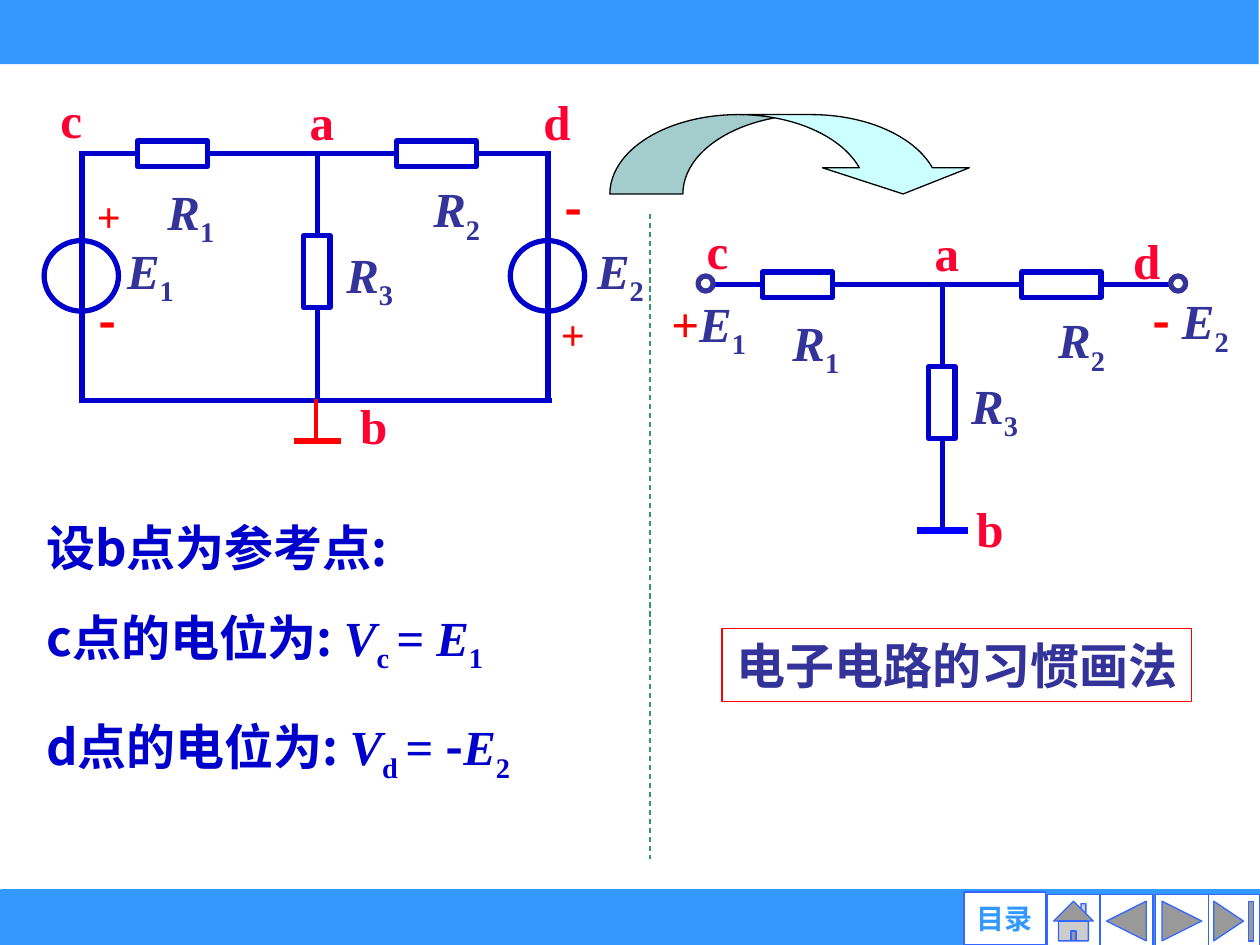
import pptx
import pptx.util
import pptx.dml.color
import pptx.enum.dml
import pptx.enum.shapes
import pptx.enum.text
import pptx.oxml
import pptx.oxml.ns

Inches, Pt = pptx.util.Inches, pptx.util.Pt
SHAPE = pptx.enum.shapes.MSO_SHAPE
ALIGN = pptx.enum.text.PP_ALIGN
SERIF, SANS = "Times New Roman", "Noto Sans CJK SC"
C = {
    "bar": "3399FF", "button": "3366FF", "white": "FFFFFF", "wire": "0000CC",
    "symbol": "333399", "node": "FF0033", "red": "FF0000", "ground": "0000FF",
    "arrow": "CCFFFF", "black": "000000", "divider": "339966",
}


def rgb(name):
    return pptx.dml.color.RGBColor.from_string(C[name])


def add_shape(s, kind, x, y, w, h, fill="white", line="wire", width=3):
    sp = s.shapes.add_shape(kind, Inches(x), Inches(y), Inches(w), Inches(h))
    sp.shadow.inherit = False
    if fill:
        sp.fill.solid()
        sp.fill.fore_color.rgb = rgb(fill)
    else:
        sp.fill.background()
    if line:
        sp.line.color.rgb = rgb(line)
        sp.line.width = Pt(width)
    else:
        sp.line.fill.background()
    return sp


def add_line(s, x1, y1, x2, y2, color="wire", width=3):
    cn = s.shapes.add_connector(pptx.enum.shapes.MSO_CONNECTOR.STRAIGHT,
                                Inches(x1), Inches(y1), Inches(x2), Inches(y2))
    cn.line.color.rgb = rgb(color)
    cn.line.width = Pt(width)
    cn._element.spPr.append(pptx.oxml.parse_xml(
        "<a:effectLst %s/>" % pptx.oxml.ns.nsdecls("a")))
    return cn


def run(text, color, font=SERIF, italic=False, sub=False):
    return text, color, font, italic, sub


def symbol(letter, index, color="symbol"):
    """An italic letter with an upright subscript."""
    return [run(letter, color, italic=True), run(index, color, sub=True)]


def fill_text(sp, runs, size=28, align=ALIGN.LEFT):
    p = sp.text_frame.paragraphs[0]
    p.alignment = align
    p.font.size = Pt(size)
    p.font.bold = True
    for text, color, font, italic, sub in runs:
        r = p.add_run()
        r.text = text
        r.font.color.rgb = rgb(color)
        r.font.name = font
        r.font.italic = italic
        rPr = r._r.get_or_add_rPr()
        rPr.append(pptx.oxml.parse_xml('<a:ea %s typeface="%s"/>' % (
            pptx.oxml.ns.nsdecls("a"), SANS)))
        if sub:
            rPr.set("baseline", "-25000")


def add_text(s, x, y, w, runs, h=0.57, size=28, wrap=False, align=ALIGN.LEFT):
    tb = s.shapes.add_textbox(Inches(x), Inches(y), Inches(w), Inches(h))
    tb.text_frame.word_wrap = wrap
    tb.text_frame.auto_size = pptx.enum.text.MSO_AUTO_SIZE.SHAPE_TO_FIT_TEXT
    fill_text(tb, runs, size, align)


def node_label(s, text, x, y, w, align=ALIGN.CENTER):
    add_text(s, x, y, w, [run(text, "node")], align=align)


def t_network(s, x, y):
    """R1, R2 and R3 meeting at node a, which lies at (x, y)."""
    add_line(s, x - 1.89, y, x, y)
    add_line(s, x, y, x + 1.81, y)
    add_line(s, x, y - 0.02, x, y + 1.96)
    resistors = [
        ("1", -1.43, -0.1, 0.56, 0.2, -1.29, 0.17),
        ("2", 0.63, -0.1, 0.63, 0.2, 0.82, 0.15),
        ("3", -0.11, 0.65, 0.21, 0.57, 0.13, 0.67),
    ]
    for index, dx, dy, w, h, label_dx, label_dy in resistors:
        add_shape(s, SHAPE.RECTANGLE, x + dx, y + dy, w, h)
        add_text(s, x + label_dx, y + label_dy, 0.59, symbol("R", index))
    node_label(s, "a", x - 0.16, y - 0.54, 0.4, ALIGN.LEFT)


def source(s, x, y, index, label_dx):
    """A voltage source centred on (x, y), with its vertical wire."""
    add_shape(s, SHAPE.OVAL, x - 0.3, y - 0.28, 0.59, 0.56)
    add_line(s, x, y - 0.99, x, y + 0.99)
    add_text(s, x + label_dx, y - 0.33, 0.59, symbol("E", index))


def closed_circuit(s, x, y):
    """The circuit with both sources drawn; its top left corner is (x, y)."""
    t_network(s, x + 1.87, y)
    source(s, x, y + 0.97, "1", 0.26)
    source(s, x + 3.7, y + 0.97, "2", 0.29)
    add_line(s, x - 0.02, y + 1.96, x + 3.73, y + 1.96)
    add_line(s, x + 1.68, y + 2.28, x + 2.06, y + 2.28, "red")
    add_line(s, x + 1.86, y + 1.95, x + 1.86, y + 2.29, "red", 2)
    add_text(s, x + 0.02, y + 0.24, 0.39, [run("+", "red")], 0.5, 24)
    add_text(s, x + 0.03, y + 1.04, 0.4, [run("-", "red", SANS)])
    add_text(s, x + 3.73, y + 0.14, 0.56, [run("-", "red", SANS)], wrap=True)
    add_text(s, x + 3.7, y + 1.18, 0.39, [run("+", "red", italic=True)], 0.5, 24)
    node_label(s, "c", x - 0.27, y - 0.56, 0.37)
    node_label(s, "d", x + 3.56, y - 0.54, 0.42)
    node_label(s, "b", x + 2.11, y + 1.87, 0.42, ALIGN.LEFT)


def open_circuit(s, x, y):
    """The circuit with potentials at its terminals; the left wire starts at (x, y)."""
    t_network(s, x + 1.89, y)
    add_line(s, x + 1.69, y + 1.95, x + 2.09, y + 1.95, "ground", 4)
    for dx in (-0.05, 3.7):
        add_shape(s, SHAPE.OVAL, x + dx, y - 0.07, 0.12, 0.12, line="symbol")
    add_text(s, x - 0.36, y + 0.02, 1.04,
             [run("+", "red")] + symbol("E", "1"), wrap=True)
    add_text(s, x + 3.46, y, 0.95,
             [run("- ", "red", SANS)] + symbol("E", "2"), wrap=True)
    node_label(s, "c", x - 0.08, y - 0.56, 0.37)
    node_label(s, "d", x + 3.3, y - 0.48, 0.42)
    node_label(s, "b", x + 2.06, y + 1.65, 0.42, ALIGN.LEFT)


def potentials(s, x, y):
    def potential(node):
        return ([run(node + "点的电位为: ", "wire", SANS)]
                + symbol("V", node + " ", "wire"))

    minus = [run("= ", "wire", italic=True), run("-", "wire", SANS)]
    add_text(s, x, y, 4.49, [run("设b点为参考点:", "wire", SANS)], wrap=True)
    add_text(s, x, y + 0.71, 5.59,
             potential("c") + symbol("= E", "1", "wire"), wrap=True)
    add_text(s, x, y + 1.58, 5.43,
             potential("d") + minus + symbol("E", "2", "wire"), wrap=True)


def caption(s, x, y, w, h):
    sp = add_shape(s, SHAPE.RECTANGLE, x, y, w, h, None, "red", 0.75)
    sp.text_frame.word_wrap = False
    fill_text(sp, [run("电子电路的习惯画法", "symbol")], align=ALIGN.CENTER)


def frame(s):
    """Top and bottom bars with the navigation buttons."""
    add_shape(s, SHAPE.RECTANGLE, 0, -0.01, 9.99, 0.52, "bar", None)
    add_shape(s, SHAPE.RECTANGLE, 0.01, 7.08, 9.99, 0.42, "bar", "bar")
    buttons = [
        (SHAPE.ACTION_BUTTON_END, 9.58),
        (SHAPE.ACTION_BUTTON_FORWARD_OR_NEXT, 9.17),
        (SHAPE.ACTION_BUTTON_BACK_OR_PREVIOUS, 8.73),
        (SHAPE.ACTION_BUTTON_HOME, 8.31),
    ]
    for kind, x in buttons:
        add_shape(s, kind, x, 7.1, 0.42, 0.42, line="button", width=0.75)
    sp = add_shape(s, SHAPE.ACTION_BUTTON_CUSTOM, 7.65, 7.08, 0.65, 0.42,
                   line="button", width=0.75)
    tf = sp.text_frame
    tf.margin_left = tf.margin_right = tf.margin_top = tf.margin_bottom = 0
    fill_text(sp, [run("目录", "bar", "Arial")], 16, ALIGN.CENTER)


def main():
    prs = pptx.Presentation()
    prs.slide_width, prs.slide_height = Inches(10), Inches(7.5)
    s = prs.slides.add_slide(prs.slide_layouts[6])
    frame(s)
    closed_circuit(s, 0.65, 1.22)
    open_circuit(s, 5.59, 2.26)
    potentials(s, 0.27, 4.06)
    caption(s, 5.73, 4.99, 3.73, 0.58)
    arrow = add_shape(s, SHAPE.CURVED_DOWN_ARROW, 4.84, 0.91, 2.91, 0.63,
                      "arrow", "black", 0.75)
    for i, value in enumerate((0.92, 1.85, 0.33)):
        arrow.adjustments[i] = value
    divider = add_line(s, 5.16, 1.7, 5.16, 6.82, "divider", 0.75)
    divider.line.dash_style = pptx.enum.dml.MSO_LINE.DASH
    prs.save("out.pptx")


if __name__ == "__main__":
    main()
